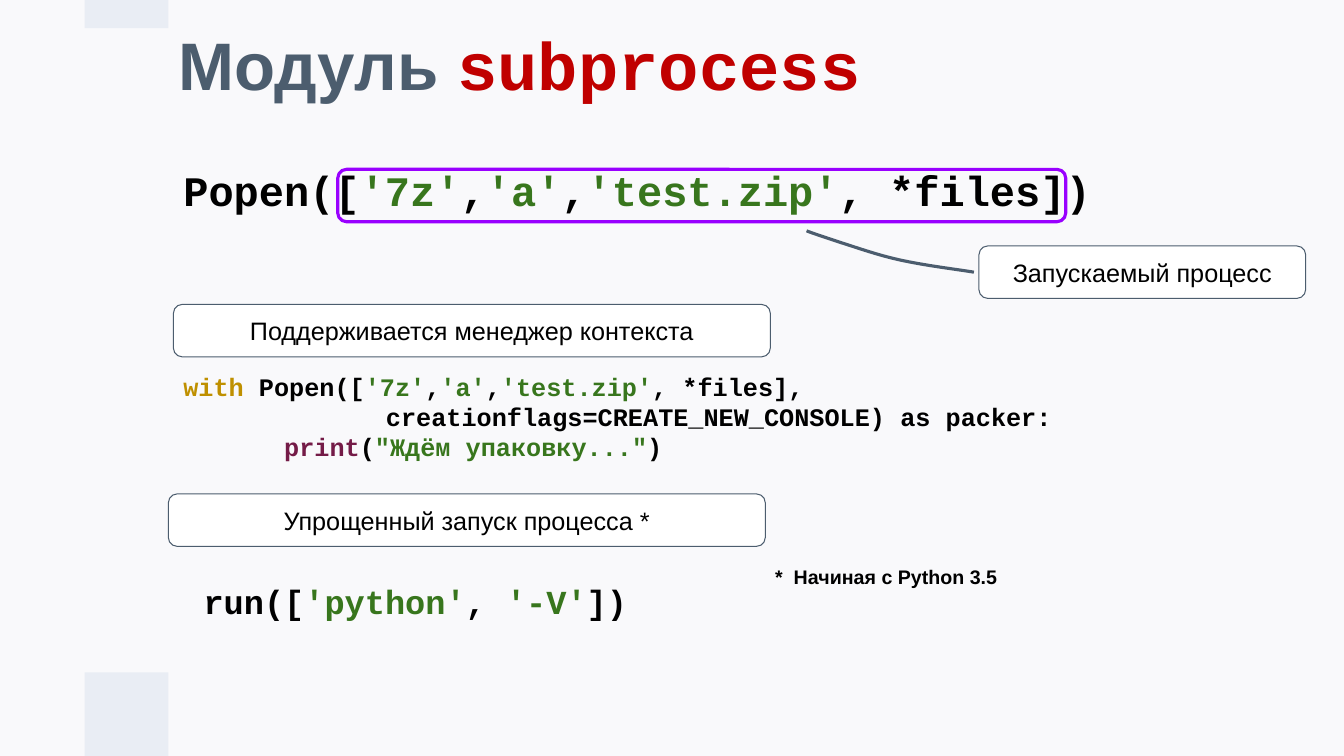
from dataclasses import dataclass
from itertools import pairwise

from pptx import Presentation
from pptx.dml.color import RGBColor
from pptx.enum.shapes import MSO_SHAPE
from pptx.enum.text import MSO_ANCHOR, PP_ALIGN
from pptx.util import Emu, Pt

RECTANGLE = MSO_SHAPE.RECTANGLE
ROUNDED = MSO_SHAPE.ROUNDED_RECTANGLE
TOP, MIDDLE = MSO_ANCHOR.TOP, MSO_ANCHOR.MIDDLE
LEFT, CENTER = PP_ALIGN.LEFT, PP_ALIGN.CENTER
PX = 9144  # 100 px to the inch
BLANK_LAYOUT = 6
CURVE_STEPS = 8


@dataclass(frozen=True)
class Theme:
    background: str = "F9F9FB"
    band: str = "E9EDF4"
    slate: str = "4C5D6E"
    red: str = "C00000"
    purple: str = "9900FF"
    white: str = "FFFFFF"
    black: str = "000000"
    string: str = "38761D"
    keyword: str = "BF9000"
    function: str = "741B47"
    sans: str = "Arial"
    mono: str = "Courier New"
    title_size: int = 48
    headline_size: int = 30
    run_size: int = 24
    body_size: int = 18
    note_size: int = 14
    thin: float = 0.75
    thick: float = 2.25


THEME = Theme()


@dataclass(frozen=True)
class Box:
    left: int
    top: int
    width: int
    height: int

    def emu(self) -> tuple[Emu, ...]:
        return tuple(Emu(n * PX) for n in (self.left, self.top, self.width, self.height))


@dataclass(frozen=True)
class Span:
    text: str
    color: str = THEME.black
    font: str = THEME.mono


@dataclass(frozen=True)
class Para:
    spans: list[Span]
    indent: int = 0


@dataclass(frozen=True)
class Label:
    text: str
    box: Box


def string(text: str) -> Span:
    return Span(text, THEME.string)


ARGUMENTS = [
    string("'7z'"), Span(","), string("'a'"), Span(","), string("'test.zip'"),
]
BANDS = [Box(84, 0, 83, 28), Box(84, 667, 83, 83)]
LABELS = [
    Label("Запускаемый процесс", Box(971, 244, 324, 52)),
    Label("Поддерживается менеджер контекста", Box(172, 302, 592, 52)),
    Label("Упрощенный запуск процесса *", Box(167, 490, 592, 52)),
]
TITLE = [Para([Span("Модуль ", THEME.slate, THEME.sans), Span("subprocess", THEME.red)])]
POPEN_CALL = [Para([Span("Popen(["), *ARGUMENTS, Span(", *files])")])]
CONTEXT_MANAGER = [
    Para([Span("with ", THEME.keyword), Span("Popen(["), *ARGUMENTS, Span(", *files],")]),
    Para([Span("creationflags=CREATE_NEW_CONSOLE) as packer:")], indent=201),
    Para([Span("print", THEME.function), Span("("),
          string('"Ждём упаковку..."'), Span(")")], indent=100),
]
RUN_CALL = [Para([Span("run(["), string("'python'"), Span(", "),
                  string("'-V'"), Span("])")], indent=20)]
NOTE = [Para([Span("*  Начиная с Python 3.5", font=THEME.sans)])]
# Anchors and handles of three joined cubic curves, from the label to the call
POINTER = [
    (966, 270), (954, 268), (915, 263), (893, 258), (870, 253),
    (848, 245), (832, 240), (817, 235), (805, 231), (800, 229),
]


def set_format(shape, fill: str | None = None, line: str | None = None,
               weight: float = THEME.thin) -> None:
    shape.shadow.inherit = False
    if fill:
        shape.fill.solid()
        shape.fill.fore_color.rgb = RGBColor.from_string(fill)
    else:
        shape.fill.background()
    if line:
        shape.line.color.rgb = RGBColor.from_string(line)
        shape.line.width = Pt(weight)
    else:
        shape.line.fill.background()


def add_panel(page, kind, box: Box, **style):
    shape = page.shapes.add_shape(kind, *box.emu())
    if kind == ROUNDED:
        shape.adjustments[0] = 0.167
    set_format(shape, **style)
    return shape


def write(shape, paras: list[Para], *, size: int, bold: bool = True, align=LEFT,
          anchor=MIDDLE, margin: int = 10, spacing: float = 1.0) -> None:
    frame = shape.text_frame
    frame.word_wrap = True
    frame.vertical_anchor = anchor
    frame.margin_left = frame.margin_right = Emu(10 * PX)
    frame.margin_top = frame.margin_bottom = Emu(margin * PX)
    for index, para in enumerate(paras):
        paragraph = frame.add_paragraph() if index else frame.paragraphs[0]
        paragraph.alignment = align
        paragraph.line_spacing = spacing
        if para.indent:
            properties = paragraph._p.get_or_add_pPr()
            properties.set("marL", str(para.indent * PX))
            properties.set("indent", "0")
        for span in para.spans:
            run = paragraph.add_run()
            run.text = span.text
            run.font.name = span.font
            run.font.size = Pt(size)
            run.font.bold = bold
            run.font.color.rgb = RGBColor.from_string(span.color)


def add_text(page, box: Box, paras: list[Para], **style) -> None:
    write(page.shapes.add_textbox(*box.emu()), paras, **style)


def add_label(page, label: Label) -> None:
    shape = add_panel(page, ROUNDED, label.box, fill=THEME.white, line=THEME.slate)
    write(shape, [Para([Span(label.text, font=THEME.sans)])],
          size=THEME.body_size, bold=False, align=CENTER)


def curve_point(handles: list[tuple[int, int]], t: float) -> tuple[int, int]:
    """Return the EMU point at t on a cubic Bezier curve."""
    weights = ((1 - t) ** 3, 3 * t * (1 - t) ** 2, 3 * t * t * (1 - t), t ** 3)
    return tuple(round(PX * sum(w * n for w, n in zip(weights, axis)))
                 for axis in zip(*handles))


def add_pointer(page) -> None:
    anchors = range(0, len(POINTER), 3)
    points = [curve_point(POINTER[start:end + 1], step / CURVE_STEPS)
              for start, end in pairwise(anchors)
              for step in range(1, CURVE_STEPS + 1)]
    start_x, start_y = curve_point(POINTER[:4], 0)
    builder = page.shapes.build_freeform(start_x, start_y, scale=1.0)
    builder.add_line_segments(points, close=False)
    set_format(builder.convert_to_shape(), line=THEME.slate, weight=THEME.thick)


def main() -> None:
    deck = Presentation()
    deck.slide_width, deck.slide_height = Emu(1333 * PX), Emu(750 * PX)
    page = deck.slides.add_slide(deck.slide_layouts[BLANK_LAYOUT])
    page.background.fill.solid()
    page.background.fill.fore_color.rgb = RGBColor.from_string(THEME.background)

    for band in BANDS:
        add_panel(page, RECTANGLE, band, fill=THEME.band)
    add_text(page, Box(167, 6, 1079, 125), TITLE, size=THEME.title_size,
             margin=5, spacing=0.9)
    add_text(page, Box(172, 137, 990, 102), POPEN_CALL, size=THEME.headline_size)
    add_panel(page, ROUNDED, Box(335, 168, 722, 52), line=THEME.purple, weight=THEME.thick)
    add_text(page, Box(172, 336, 938, 154), CONTEXT_MANAGER, size=THEME.body_size)
    add_pointer(page)
    for label in LABELS:
        add_label(page, label)
    add_text(page, Box(759, 550, 398, 41), NOTE, size=THEME.note_size, anchor=TOP)
    add_text(page, Box(172, 570, 512, 52), RUN_CALL, size=THEME.run_size)
    deck.save("out.pptx")


if __name__ == "__main__":
    main()
